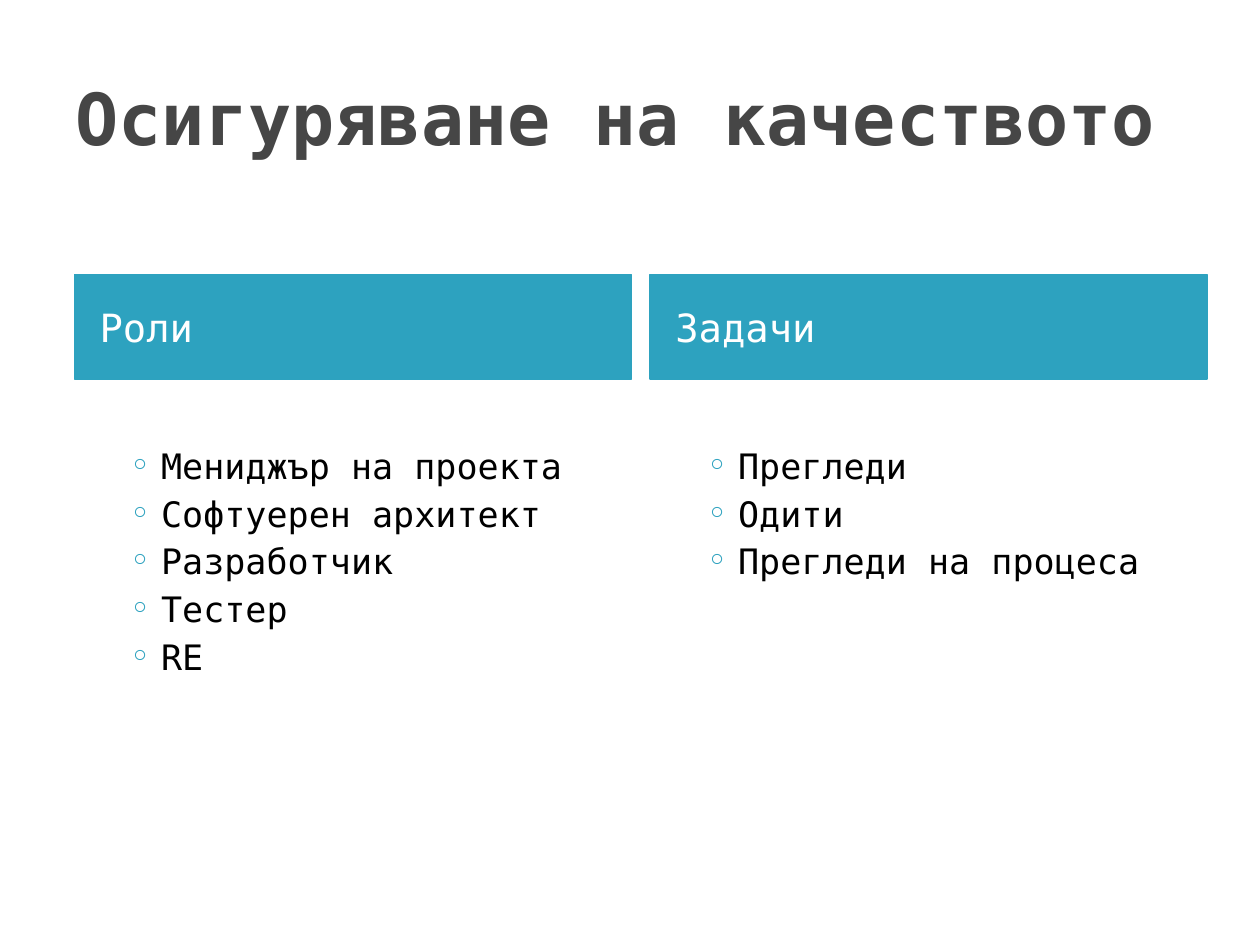
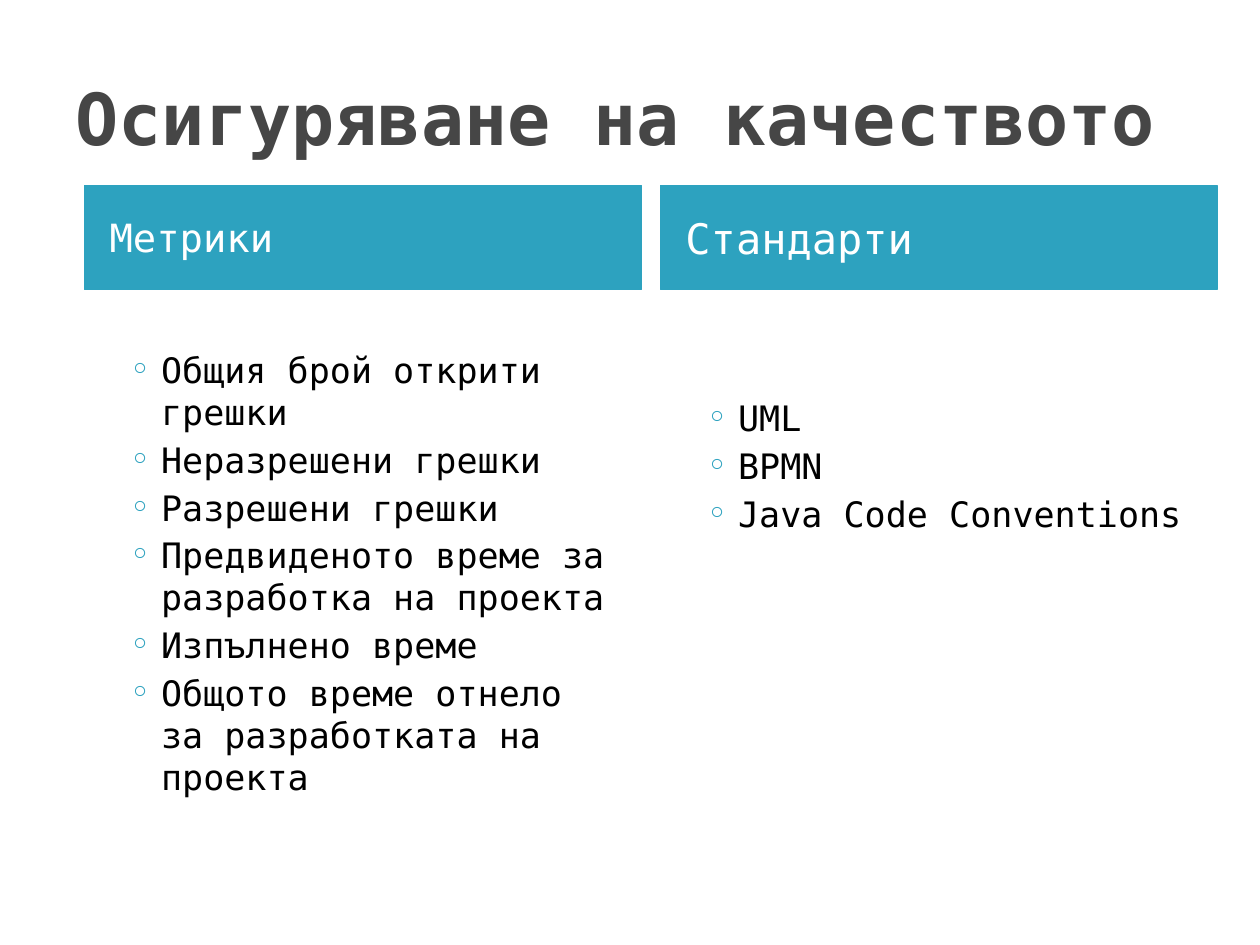
from dataclasses import dataclass

import pptx
import pptx.dml.color
import pptx.enum.shapes
import pptx.enum.text
import pptx.util
from lxml import etree
from pptx.oxml.ns import qn

Inches = pptx.util.Inches
Pt = pptx.util.Pt
Align = pptx.enum.text.PP_ALIGN
Anchor = pptx.enum.text.MSO_ANCHOR


@dataclass(frozen=True)
class Theme:
    font: str = "DejaVu Sans Mono"
    teal: str = "2DA2BF"
    gray: str = "464646"
    black: str = "000000"
    white: str = "FFFFFF"
    title: float = 41
    head: float = 22.2
    large: float = 24
    item: float = 20


THEME = Theme()
TITLE = "Осигуряване на качеството"
TITLE_BOX = (0.5, 0.3, 9, 1.25)
WIDTH = 4.42
HEAD_HIGH = 0.83
HEAD_STEP = 4.57
LIST_LEFT, LIST_TOP, LIST_END = 0.5, 1.58, 5.89
LIST_STEP = 4.58
ROW = 0.38

# Each column: heading, heading size, space above it, rows the list is lowered by, items
SLIDES = [
    ((0.59, 2.18), [
        ("Роли", THEME.head, 8, 5,
         ["Мениджър на проекта", "Софтуерен архитект", "Разработчик", "Тестер", "RE"]),
        ("Задачи", THEME.head, 8, 5,
         ["Прегледи", "Одити", "Прегледи на процеса"]),
    ]),
    ((0.67, 1.47), [
        ("Метрики", THEME.head, 8, 3,
         ["Общия брой открити грешки", "Неразрешени грешки", "Разрешени грешки",
          "Предвиденото време за разработка на проекта", "Изпълнено време",
          "Общото време отнело за разработката на проекта"]),
        ("Стандарти", THEME.large, 4, 4,
         ["UML", "BPMN", "Java Code Conventions"]),
    ]),
]


def rgb(code):
    return pptx.dml.color.RGBColor.from_string(code)


def style(para, text, size, color, bold=False, before=0):
    para.text = text
    para.alignment = Align.LEFT
    para.space_before = Pt(before)
    font = para.font
    font.name, font.size, font.bold = THEME.font, Pt(size), bold
    font.color.rgb = rgb(color)


def add_bullet(para):
    props = para._p.get_or_add_pPr()
    props.set("marL", str(Inches(0.68)))
    props.set("indent", str(Inches(-0.25)))
    color = etree.SubElement(props, qn("a:buClr"))
    etree.SubElement(color, qn("a:srgbClr"), val=THEME.teal)
    etree.SubElement(props, qn("a:buFont"), typeface=THEME.font)
    etree.SubElement(props, qn("a:buChar"), char="◦")
    # The schema wants the default run properties after the bullet
    props.append(props.find(qn("a:defRPr")))


def set_title(slide, box):
    title = slide.shapes.title
    title.left, title.top, title.width, title.height = map(Inches, box)
    frame = title.text_frame
    frame.word_wrap = True
    frame.auto_size = pptx.enum.text.MSO_AUTO_SIZE.NONE
    frame.vertical_anchor = Anchor.MIDDLE
    style(frame.paragraphs[0], TITLE, THEME.title, THEME.gray, bold=True)


def add_head(slide, box, text, size, before):
    kind = pptx.enum.shapes.MSO_SHAPE.RECTANGLE
    band = slide.shapes.add_shape(kind, *map(Inches, box))
    band.shadow.inherit = False
    band.fill.solid()
    band.fill.fore_color.rgb = rgb(THEME.teal)
    band.line.color.rgb = rgb(THEME.teal)
    band.line.width = Pt(0.75)
    frame = band.text_frame
    frame.word_wrap = True
    frame.vertical_anchor = Anchor.MIDDLE
    frame.margin_left = Inches(0.2)
    style(frame.paragraphs[0], text, size, THEME.white, before=before)


def add_list(slide, box, items):
    frame = slide.shapes.add_textbox(*map(Inches, box)).text_frame
    frame.word_wrap = True
    for index, item in enumerate(items):
        para = frame.add_paragraph() if index else frame.paragraphs[0]
        style(para, item, THEME.item, THEME.black, before=3.2)
        add_bullet(para)


def add_slide(deck, corner, columns):
    slide = deck.slides.add_slide(deck.slide_layouts[5])
    set_title(slide, TITLE_BOX)
    left, top = corner
    for index, (head, size, before, rows, items) in enumerate(columns):
        add_head(slide, (left + index * HEAD_STEP, top, WIDTH, HEAD_HIGH),
                 head, size, before)
        start = LIST_TOP + rows * ROW
        add_list(slide, (LIST_LEFT + index * LIST_STEP, start, WIDTH, LIST_END - start),
                 items)


def main():
    deck = pptx.Presentation()
    deck.slide_width, deck.slide_height = Inches(10), Inches(7.5)
    for corner, columns in SLIDES:
        add_slide(deck, corner, columns)
    deck.save("out.pptx")


if __name__ == "__main__":
    main()
